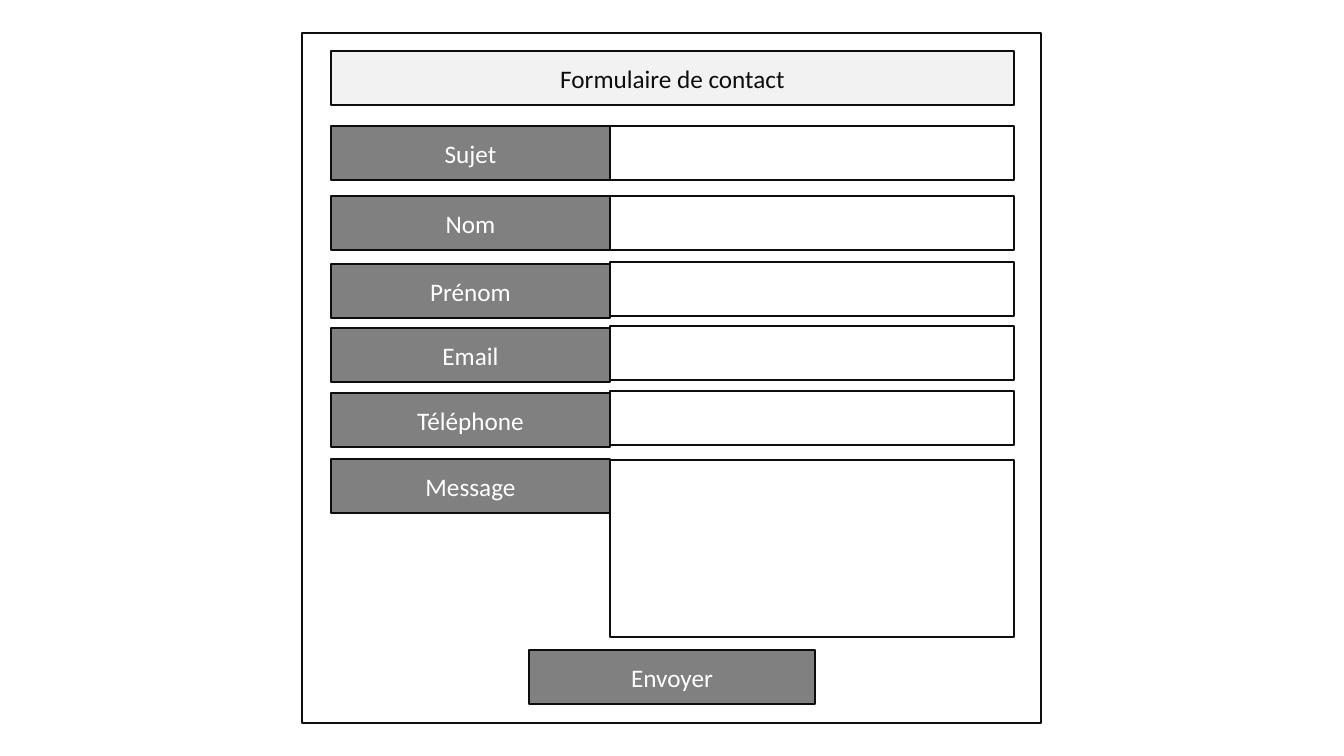
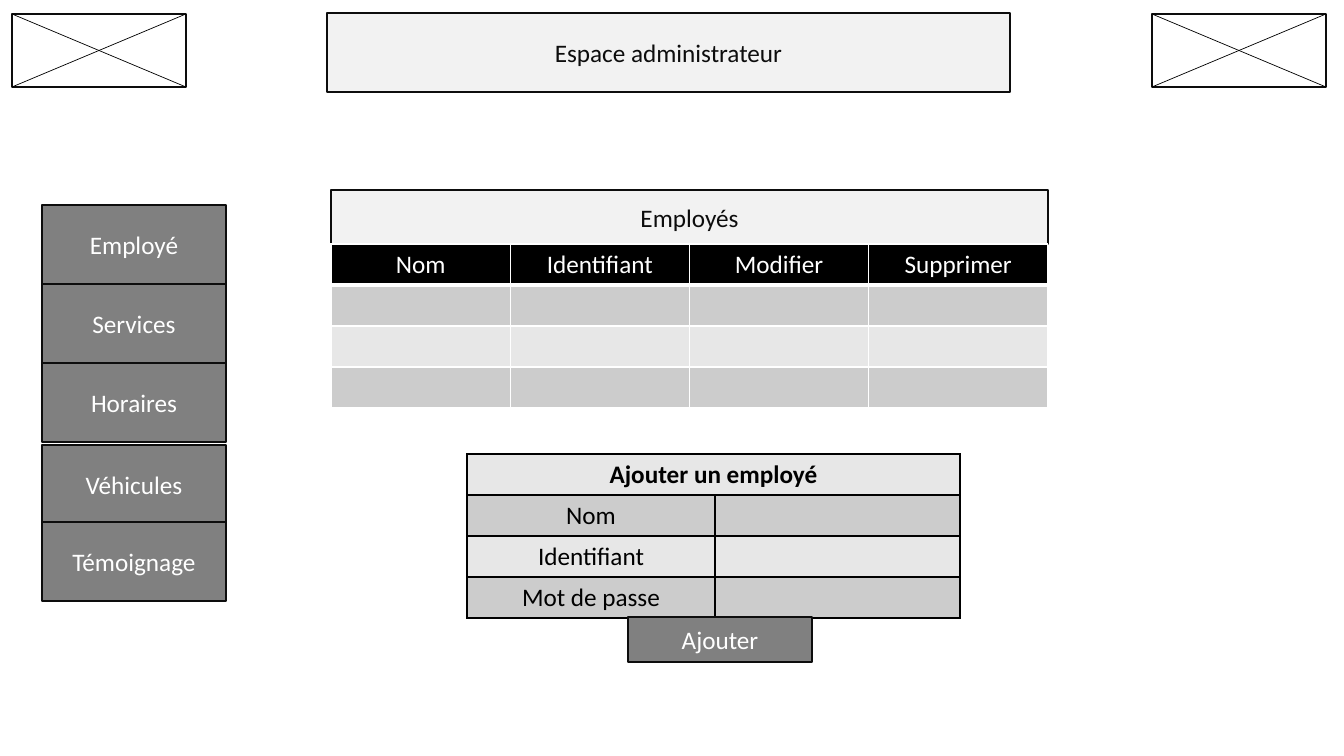
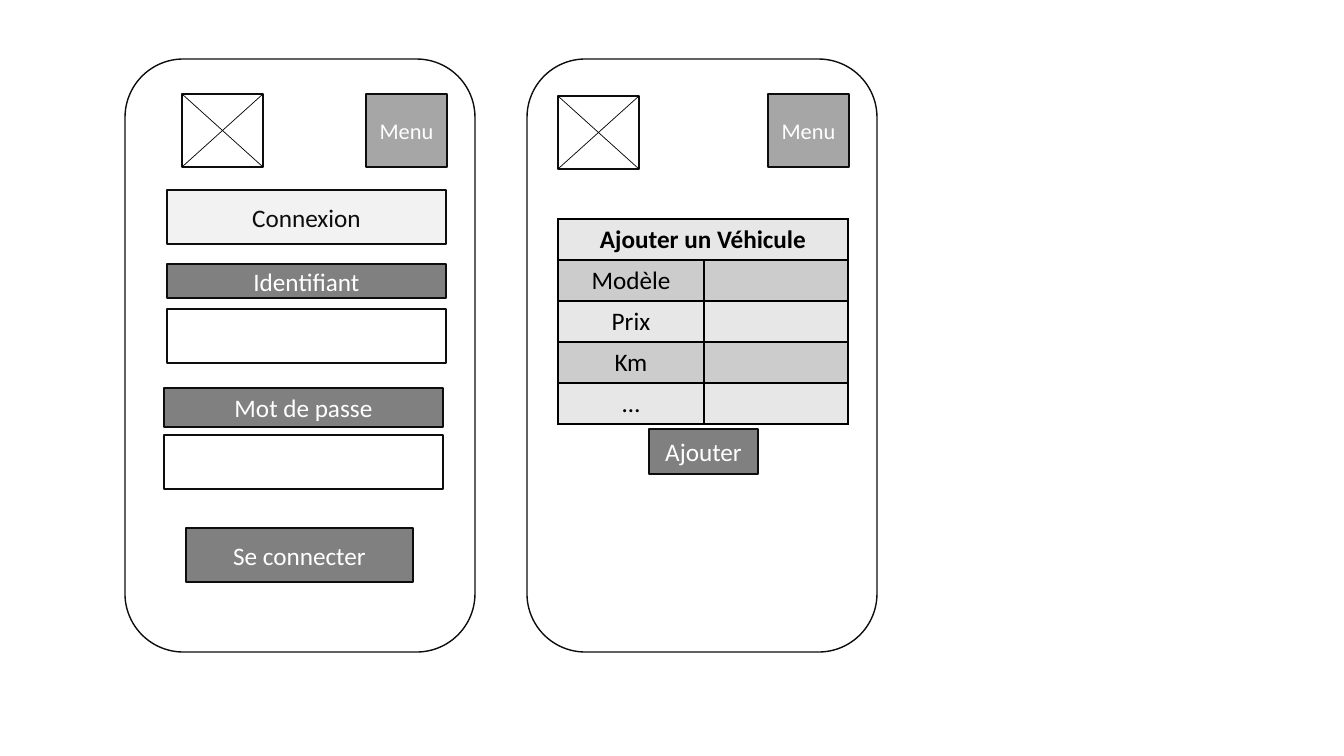
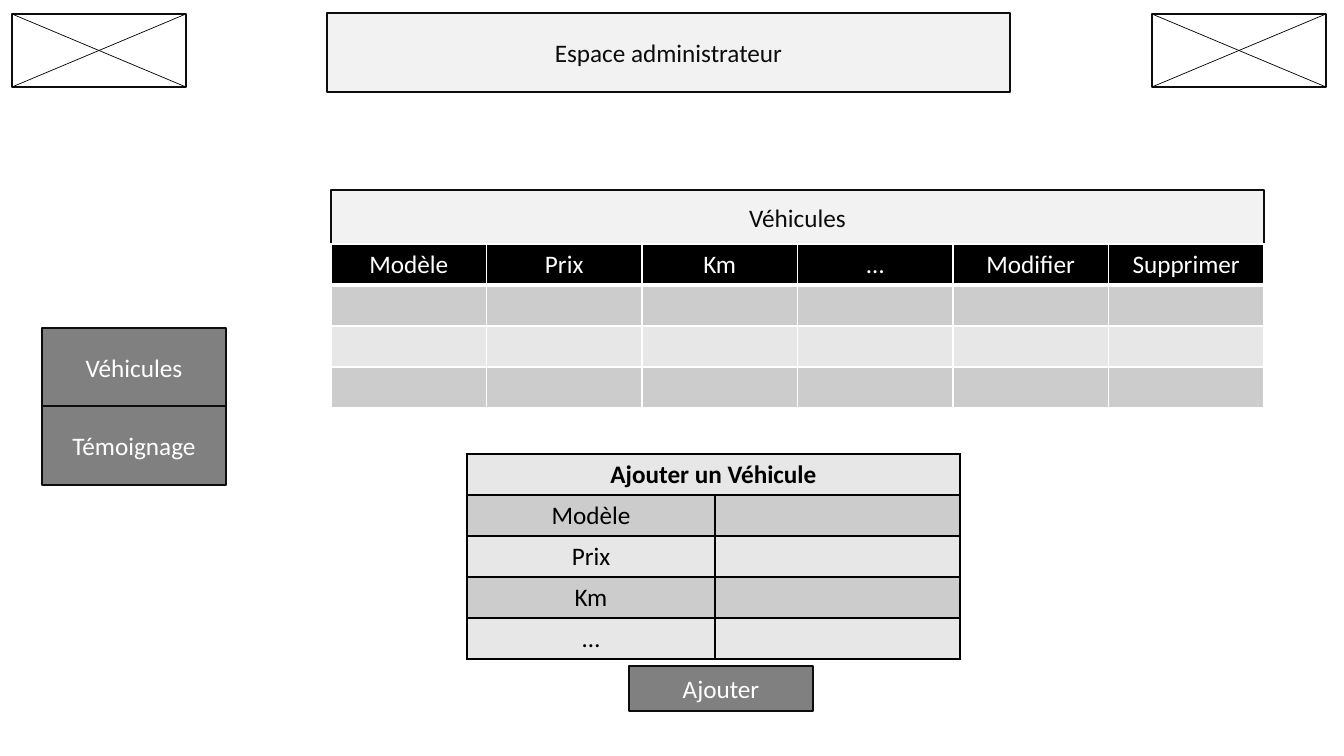
"""Build four wireframe slides: contact form, admin pages and mobile screens."""
from lxml.etree import SubElement
from pptx import Presentation
from pptx.dml.color import RGBColor
from pptx.enum.shapes import MSO_CONNECTOR as Connector, MSO_SHAPE as Shape
from pptx.enum.text import MSO_ANCHOR as Anchor, MSO_AUTO_SIZE as AutoSize, PP_ALIGN as Align
from pptx.oxml.ns import qn
from pptx.util import Emu, Pt

SLIDE_W, SLIDE_H = 1344, 756
SCALE = 12192000 / SLIDE_W
FONT = "Calibri"
INK, BLACK, WHITE = "0D0D0D", "000000", "FFFFFF"
BANDS = ("E7E7E7", "CCCCCC")
TITLE_ONLY, BLANK = 5, 6
ROW_H, BAR_H, ADD_H = 41, 54, 45

LOOKS = {
    "outline": (None, INK, 18),
    "entry": (WHITE, INK, 18),
    "heading": ("F2F2F2", INK, 18),
    "label": ("808080", WHITE, 18),
    "menu": ("A6A6A6", WHITE, 16),
}

CONTACT_TITLE = ("Formulaire de contact", (331, 51, 683, BAR_H))
CONTACT_FIELDS = [
    ("Sujet", 126, 126, BAR_H),
    ("Nom", 196, 196, BAR_H),
    ("Prénom", 264, 262, BAR_H),
    ("Email", 328, 326, BAR_H),
    ("Téléphone", 393, 391, BAR_H),
    ("Message", 459, 460, 177),
]

ADMIN_TITLE = ("Espace administrateur", (327, 13, 683, 79))
ADMIN_LOGOS = [(12, 14, 174, 73), (1152, 14, 174, 73)]
VEHICLE_FORM = ["Ajouter un Véhicule", "Modèle", "Prix", "Km", "…"]
ADMIN_PAGES = [
    {
        "menu": [("Employé", 205), ("Services", 284), ("Horaires", 363),
                 ("Véhicules", 445), ("Témoignage", 522)],
        "heading": "Employés",
        "columns": ["Nom", "Identifiant", "Modifier", "Supprimer"],
        "width": 717,
        "form": ["Ajouter un employé", "Nom", "Identifiant", "Mot de passe"],
        "button": (628, 617),
    },
    {
        "menu": [("Véhicules", 328), ("Témoignage", 406)],
        "heading": "Véhicules",
        "columns": ["Modèle", "Prix", "Km", "…", "Modifier", "Supprimer"],
        "width": 933,
        "form": VEHICLE_FORM,
        "button": (629, 666),
    },
]

PHONES = [(125, (182, 94)), (527, (558, 96))]
LOGIN_PARTS = [
    ("heading", "Connexion", (167, 190, 279, BAR_H)),
    ("label", "Identifiant", (167, 264, 279, 34)),
    ("entry", "", (167, 309, 279, BAR_H)),
    ("label", "Mot de passe", (164, 388, 279, 39)),
    ("entry", "", (164, 435, 279, BAR_H)),
    ("label", "Se connecter", (186, 528, 227, BAR_H)),
]


def px(*lengths):
    return [Emu(round(length * SCALE)) for length in lengths]


def rgb(color):
    return RGBColor.from_string(color)


def write(frame, text, color, size=18, bold=False):
    paragraph = frame.paragraphs[0]
    paragraph.text = text
    paragraph.alignment = Align.CENTER
    font = paragraph.font
    font.name, font.size, font.bold = FONT, Pt(size), bold
    font.color.rgb = rgb(color)


def dress(shape, look, text):
    fill, color, size = LOOKS[look]
    shape.shadow.inherit = False
    if fill:
        shape.fill.solid()
        shape.fill.fore_color.rgb = rgb(fill)
    else:
        shape.fill.background()
    shape.line.color.rgb = rgb(INK)
    shape.line.width = Pt(1)
    if text:
        frame = shape.text_frame
        frame.word_wrap = True
        frame.auto_size = AutoSize.NONE
        frame.vertical_anchor = Anchor.MIDDLE
        write(frame, text, color, size)


def add_box(slide, look, text, area, outline=Shape.RECTANGLE):
    dress(slide.shapes.add_shape(outline, *px(*area)), look, text)


def add_titled_slide(deck, text, area):
    slide = deck.slides.add_slide(deck.slide_layouts[TITLE_ONLY])
    title = slide.shapes.title
    title.left, title.top, title.width, title.height = px(*area)
    dress(title, "heading", text)
    return slide


def add_logo(slide, area):
    left, top, width, height = area
    right, bottom = left + width, top + height
    add_box(slide, "entry", "", area)
    for ends in ((left, top, right, bottom), (left, bottom, right, top)):
        diagonal = slide.shapes.add_connector(Connector.STRAIGHT, *px(*ends))
        diagonal.line.color.rgb = rgb(BLACK)
        diagonal.line.width = Pt(0.5)
        SubElement(diagonal._element.spPr, qn("a:effectLst"))


def paint_cell(cell, fill, border, bottom=1):
    properties = cell._tc.get_or_add_tcPr()
    for side, width in (("L", 1), ("R", 1), ("T", 1), ("B", bottom)):
        line = SubElement(properties, qn(f"a:ln{side}"), w=str(Pt(width)))
        SubElement(SubElement(line, qn("a:solidFill")), qn("a:srgbClr"), val=border)
    cell.fill.solid()
    cell.fill.fore_color.rgb = rgb(fill)


def add_table(slide, left, top, widths, row_count):
    area = px(left, top, sum(widths), row_count * ROW_H)
    table = slide.shapes.add_table(row_count, len(widths), *area).table
    table.horz_banding = False
    for column, width in zip(table.columns, widths):
        column.width = px(width)[0]
    for row in table.rows:
        row.height = px(ROW_H)[0]
    return table


def add_listing(slide, columns, width, row_count=4):
    table = add_table(slide, 331, 244, [width / len(columns)] * len(columns), row_count)
    for index, name in enumerate(columns):
        header = table.cell(0, index)
        paint_cell(header, BLACK, WHITE, bottom=3)
        write(header.text_frame, name, WHITE)
        for row in range(1, row_count):
            paint_cell(table.cell(row, index), BANDS[row % 2], WHITE)


def add_form(slide, left, top, widths, names):
    table = add_table(slide, left, top, widths, len(names))
    table.cell(0, 0).merge(table.cell(0, 1))
    for row, name in enumerate(names):
        for column in range(2):
            paint_cell(table.cell(row, column), BANDS[row % 2], BLACK)
        write(table.cell(row, 0).text_frame, name, BLACK, bold=row == 0)


def build_contact(deck):
    slide = add_titled_slide(deck, *CONTACT_TITLE)
    add_box(slide, "outline", "", (302, 33, 739, 690))
    for name, label_top, entry_top, entry_height in CONTACT_FIELDS:
        add_box(slide, "label", name, (331, label_top, 279, BAR_H))
        add_box(slide, "entry", "", (610, entry_top, 404, entry_height))
    add_box(slide, "label", "Envoyer", (529, 650, 286, BAR_H))


def build_admin(deck, page):
    slide = add_titled_slide(deck, *ADMIN_TITLE)
    for name, top in page["menu"]:
        add_box(slide, "label", name, (42, top, 184, 79))
    add_box(slide, "heading", page["heading"], (331, 190, page["width"], BAR_H))
    add_listing(slide, page["columns"], page["width"])
    add_form(slide, 467, 454, (248, 245), page["form"])
    add_box(slide, "label", "Ajouter", (*page["button"], 184, ADD_H))
    for area in ADMIN_LOGOS:
        add_logo(slide, area)


def build_mobile(deck):
    slide = deck.slides.add_slide(deck.slide_layouts[BLANK])
    for left, logo_corner in PHONES:
        add_box(slide, "outline", "", (left, 59, 350, 593), Shape.ROUNDED_RECTANGLE)
        add_box(slide, "menu", "Menu", (left + 241, 94, 81, 73))
        add_logo(slide, (*logo_corner, 81, 73))
    for look, text, area in LOGIN_PARTS:
        add_box(slide, look, text, area)
    add_form(slide, 558, 219, (146, 144), VEHICLE_FORM)
    add_box(slide, "label", "Ajouter", (649, 429, 109, ADD_H))


def main():
    deck = Presentation()
    deck.slide_width, deck.slide_height = px(SLIDE_W, SLIDE_H)
    employees, vehicles = ADMIN_PAGES
    build_contact(deck)
    build_admin(deck, employees)
    build_mobile(deck)
    build_admin(deck, vehicles)
    deck.save("out.pptx")


if __name__ == "__main__":
    main()
